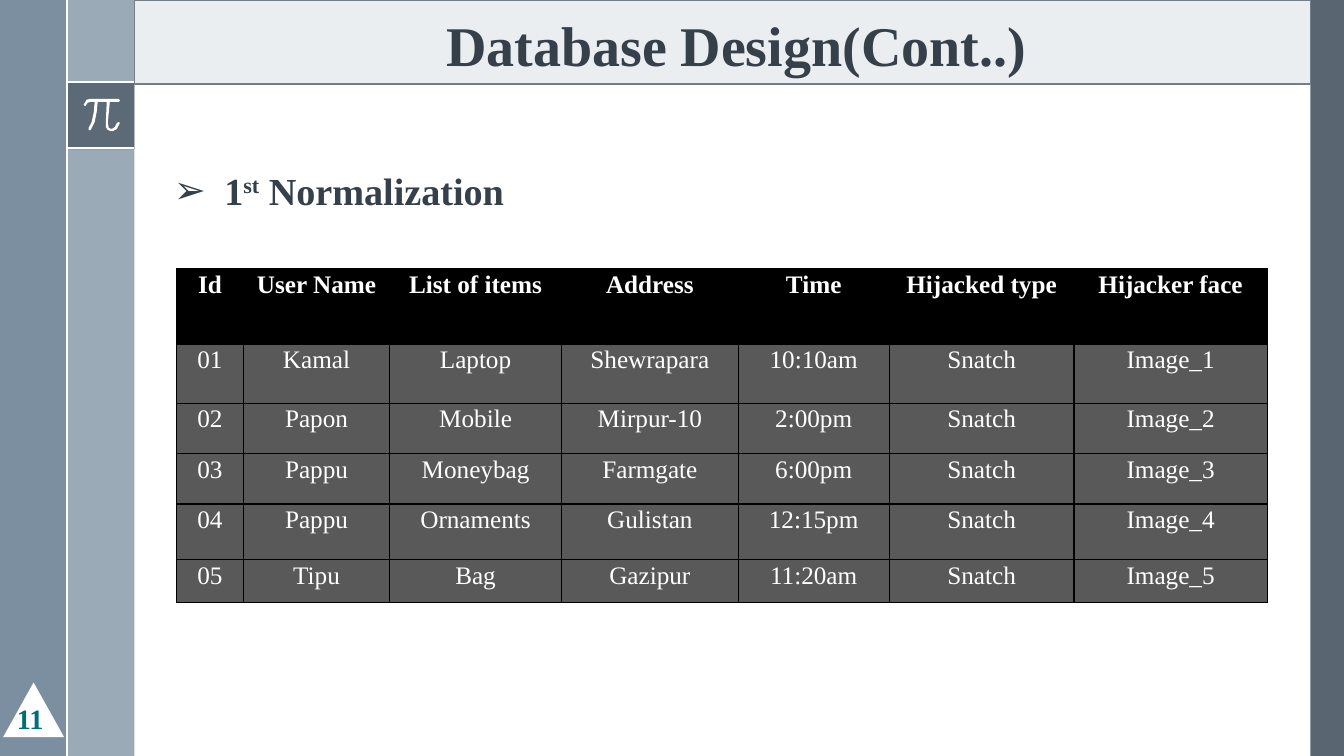
from dataclasses import dataclass

from lxml.etree import SubElement
from pptx import Presentation
from pptx.dml.color import RGBColor
from pptx.enum.shapes import MSO_CONNECTOR as Connector, MSO_SHAPE as Preset
from pptx.enum.text import MSO_ANCHOR as Anchor, MSO_AUTO_SIZE as AutoSize, PP_ALIGN as Align
from pptx.oxml.ns import qn
from pptx.util import Pt

PX = 9525
PI_UNIT = 9144


@dataclass(frozen=True)
class Theme:
    font: str = "Times New Roman"
    white: str = "FFFFFF"
    black: str = "000000"
    slate: str = "475562"
    steel: str = "6A8093"
    mist: str = "9BAAB7"
    band: str = "EBEEF1"
    band_line: str = "737E87"
    ink: str = "35404A"
    teal: str = "006E74"
    row_grey: str = "595959"
    title_size: float = 40
    heading_size: float = 27.3
    number_size: float = 20
    table_size: float = 18


THEME = Theme()

PI_OUTLINE = [
    (118, 98), (90, 98), (86, 99), (83, 104), (84, 105), (85, 105), (87, 102), (90, 101),
    (94, 101), (93, 112), (91, 121), (88, 127), (88, 129), (89, 129), (90, 129), (94, 121),
    (96, 111), (97, 101), (106, 101), (105, 122), (105, 126), (107, 129), (110, 130),
    (112, 130), (116, 128), (119, 122), (118, 121), (116, 122), (114, 126), (111, 128),
    (108, 127), (107, 122), (109, 101), (118, 101), (119, 100),
]

COLUMN_WIDTHS = [64, 139, 164, 168, 144, 176, 184]
ROW_HEIGHTS = [72, 56, 48, 48, 53, 41]
HEADERS = ["Id", "User Name", "List of items", "Address", "Time", "Hijacked type", "Hijacker face"]
INCIDENTS = [
    ("Kamal", "Laptop", "Shewrapara", "10:10am"),
    ("Papon", "Mobile", "Mirpur-10", "2:00pm"),
    ("Pappu", "Moneybag", "Farmgate", "6:00pm"),
    ("Pappu", "Ornaments", "Gulistan", "12:15pm"),
    ("Tipu", "Bag", "Gazipur", "11:20am"),
]


def rgb(colour):
    return RGBColor.from_string(colour)


def paint(shape, colour, opacity=100, outline=None):
    shape.shadow.inherit = False
    shape.fill.solid()
    shape.fill.fore_color.rgb = rgb(colour)
    if opacity < 100:
        solid = shape.fill._xPr.find(qn("a:solidFill"))
        SubElement(solid[0], qn("a:alpha"), val=str(opacity * 1000))
    if outline:
        shape.line.color.rgb = rgb(outline)
        shape.line.width = Pt(1)
    else:
        shape.line.fill.background()


def add_block(slide, box, colour, opacity=100, outline=None, preset=Preset.RECTANGLE):
    block = slide.shapes.add_shape(preset, *(value * PX for value in box))
    paint(block, colour, opacity, outline)


def add_rule(slide, *ends):
    rule = slide.shapes.add_connector(Connector.STRAIGHT, *(value * PX for value in ends))
    rule.line.color.rgb = rgb(THEME.white)
    rule.line.width = Pt(1.5)
    SubElement(rule._element.spPr, qn("a:effectLst"))


def add_pi(slide):
    start, *rest = PI_OUTLINE
    builder = slide.shapes.build_freeform(*start, scale=PI_UNIT)
    builder.add_line_segments(rest, close=True)
    paint(builder.convert_to_shape(), THEME.white)


def style(paragraph, size, colour, bold=True, align=Align.LEFT, spacing=1.0):
    paragraph.alignment = align
    paragraph.line_spacing = spacing
    paragraph.space_before = Pt(0)
    font = paragraph.font
    font.name, font.size, font.bold = THEME.font, Pt(size), bold
    font.color.rgb = rgb(colour)


def place(holder, left, top, width, height):
    holder.left, holder.top = left * PX, top * PX
    holder.width, holder.height = width * PX, height * PX
    frame = holder.text_frame
    frame.word_wrap = True
    frame.auto_size = AutoSize.NONE
    frame.vertical_anchor = Anchor.BOTTOM
    holder.element.getparent().append(holder.element)
    return frame.paragraphs[0]


def add_title(slide):
    title = place(slide.shapes.title, 321, 0, 760, 80)
    title.add_run().text = "Database Design(Cont..)"
    style(title, THEME.title_size, THEME.ink, align=Align.CENTER, spacing=0.9)


def add_heading(slide):
    heading = place(slide.placeholders[1], 156, 128, 544, 80)
    for text, baseline in [("1", 0), ("st", 30000), (" Normalization", 0)]:
        run = heading.add_run()
        run.text = text
        if baseline:
            run._r.get_or_add_rPr().set("baseline", str(baseline))
    style(heading, THEME.heading_size, THEME.ink, spacing=0.9)
    properties = heading._p.get_or_add_pPr()
    properties.set("marL", str(48 * PX))
    properties.set("indent", str(-48 * PX))
    bullet = properties.makeelement(qn("a:buChar"), {"char": "➢"})
    properties.find(qn("a:defRPr")).addprevious(bullet)


def add_page_number(slide):
    add_block(slide, (3, 650, 58, 52), THEME.white, preset=Preset.ISOSCELES_TRIANGLE)
    box = slide.shapes.add_textbox(*(value * PX for value in (6, 658, 58, 46)))
    frame = box.text_frame
    frame.word_wrap = True
    frame.margin_left = frame.margin_right = frame.margin_top = frame.margin_bottom = 10 * PX
    number = frame.paragraphs[0]
    number.add_run().text = "11"
    style(number, THEME.number_size, THEME.teal)


def add_borders(cell):
    properties = cell._tc.get_or_add_tcPr()
    for position, side in enumerate(("a:lnL", "a:lnR", "a:lnT", "a:lnB")):
        border = properties.makeelement(qn(side), {"w": str(Pt(1))})
        solid = SubElement(border, qn("a:solidFill"))
        SubElement(solid, qn("a:srgbClr"), val=THEME.black)
        properties.insert(position, border)


def fill_cell(cell, text, is_header):
    cell.fill.solid()
    cell.fill.fore_color.rgb = rgb(THEME.black if is_header else THEME.row_grey)
    cell.margin_left = cell.margin_right = 7 * PX
    cell.margin_top = cell.margin_bottom = 0
    cell.text = text
    style(cell.text_frame.paragraphs[0], THEME.table_size, THEME.white,
          is_header, Align.CENTER, 1.07)
    add_borders(cell)


def add_incident_table(slide):
    rows = [HEADERS] + [
        [f"{number:02}", *incident, "Snatch", f"Image_{number}"]
        for number, incident in enumerate(INCIDENTS, 1)
    ]
    table = slide.shapes.add_table(
        len(rows), len(HEADERS), 168 * PX, 256 * PX,
        sum(COLUMN_WIDTHS) * PX, sum(ROW_HEIGHTS) * PX).table
    for column, width in zip(table.columns, COLUMN_WIDTHS):
        column.width = width * PX
    for index, (row, height, texts) in enumerate(zip(table.rows, ROW_HEIGHTS, rows)):
        row.height = height * PX
        for cell, text in zip(row.cells, texts):
            fill_cell(cell, text, index == 0)


def add_frame(slide):
    add_block(slide, (1248, 0, 32, 720), THEME.slate, 90)
    add_block(slide, (64, 0, 64, 720), THEME.mist)
    add_block(slide, (0, 0, 64, 720), THEME.steel, 88)
    add_block(slide, (64, 78, 64, 64), THEME.slate, 75)
    for y in (78, 141):
        add_rule(slide, 64, y, 128, y)
    add_pi(slide)
    add_rule(slide, 64, 0, 64, 720)
    add_block(slide, (128, 0, 1120, 80), THEME.band, outline=THEME.band_line)


def main():
    deck = Presentation()
    deck.slide_width, deck.slide_height = 1280 * PX, 720 * PX
    slide = deck.slides.add_slide(deck.slide_layouts[1])
    add_frame(slide)
    add_title(slide)
    add_page_number(slide)
    add_heading(slide)
    add_incident_table(slide)
    deck.save("out.pptx")


if __name__ == "__main__":
    main()
